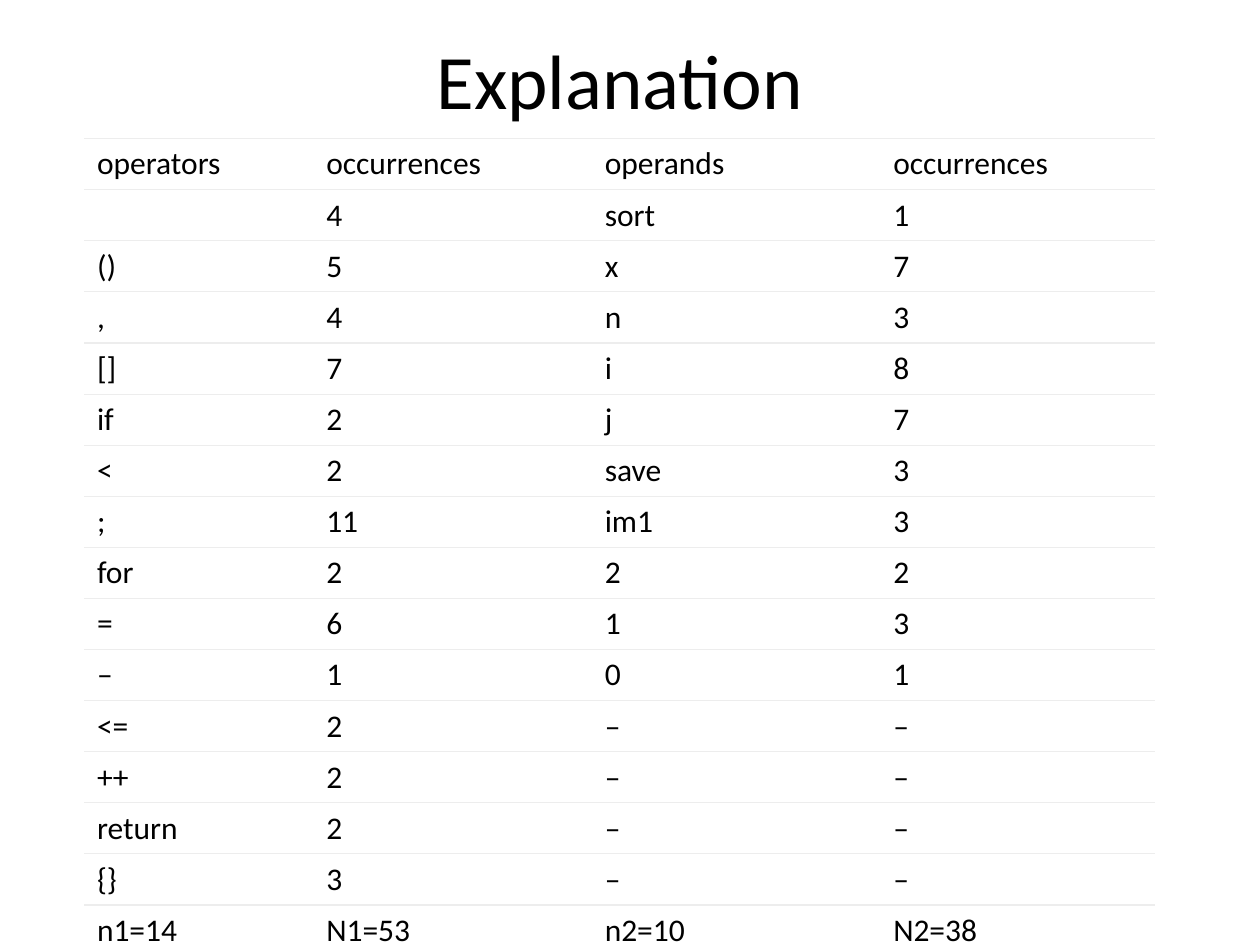
from pptx import Presentation
from pptx.dml.color import RGBColor
from pptx.enum import text
from pptx.oxml import parse_xml
from pptx.oxml.ns import nsdecls
from pptx.util import Inches, Pt

ROWS = [
    ("operators", "occurrences", "operands", "occurrences"),
    ("", "4", "sort", "1"),
    ("()", "5", "x", "7"),
    (",", "4", "n", "3"),
    ("[]", "7", "i", "8"),
    ("if", "2", "j", "7"),
    ("<", "2", "save", "3"),
    (";", "11", "im1", "3"),
    ("for", "2", "2", "2"),
    ("=", "6", "1", "3"),
    ("–", "1", "0", "1"),
    ("<=", "2", "–", "–"),
    ("++", "2", "–", "–"),
    ("return", "2", "–", "–"),
    ("{}", "3", "–", "–"),
    ("n1=14", "N1=53", "n2=10", "N2=38"),
]
COLUMN_WIDTHS = [1.82, 2.21, 2.29, 2.18]
ROW_HEIGHT = 0.4
RULE_COLOR = "EDEDED"


def style_font(font, size, color="000000"):
    for name, value in {"name": "Calibri", "size": Pt(size), "bold": False}.items():
        setattr(font, name, value)
    font.color.rgb = RGBColor.from_string(color)


def add_borders(cell, sides):
    """Rule the given sides (letters T, B) and leave the others without a line."""
    properties = cell._tc.get_or_add_tcPr()
    for side in "LRTB":
        fill = "<a:noFill/>"
        if side in sides:
            fill = f'<a:solidFill><a:srgbClr val="{RULE_COLOR}"/></a:solidFill>'
        properties.append(parse_xml(
            f'<a:ln{side} {nsdecls("a")} w="{Pt(0.75)}">{fill}</a:ln{side}>'))


prs = Presentation()
prs.slide_width, prs.slide_height = Inches(10), Inches(7.5)
slide = prs.slides.add_slide(prs.slide_layouts[5])

title = slide.shapes.title
title.left, title.top = Inches(0.42), Inches(0)
title.width, title.height = Inches(9), Inches(1.25)
title.text_frame.text = "Explanation"
title.text_frame.vertical_anchor = text.MSO_ANCHOR.MIDDLE
heading = title.text_frame.paragraphs[0]
heading.alignment = text.PP_ALIGN.CENTER
style_font(heading.runs[0].font, 44)

counts = slide.shapes.add_table(
    len(ROWS), len(COLUMN_WIDTHS), Inches(0.67), Inches(1.1),
    Inches(sum(COLUMN_WIDTHS)), Inches(ROW_HEIGHT * len(ROWS))).table
counts.first_row = counts.horz_banding = False
for column, width in zip(counts.columns, COLUMN_WIDTHS):
    column.width = Inches(width)

for row_index, values in enumerate(ROWS):
    counts.rows[row_index].height = Inches(ROW_HEIGHT)
    is_total = row_index == len(ROWS) - 1
    for column_index, value in enumerate(values):
        cell = counts.cell(row_index, column_index)
        cell.text = value
        cell.vertical_anchor = text.MSO_ANCHOR.MIDDLE
        style_font(cell.text_frame.paragraphs[0].font, 18)
        for run in cell.text_frame.paragraphs[0].runs:
            style_font(run.font, 18)
        add_borders(cell, "T" if is_total else "TB")
        cell.fill.solid()
        cell.fill.fore_color.rgb = RGBColor.from_string("FFFFFF")

prs.save("out.pptx")
